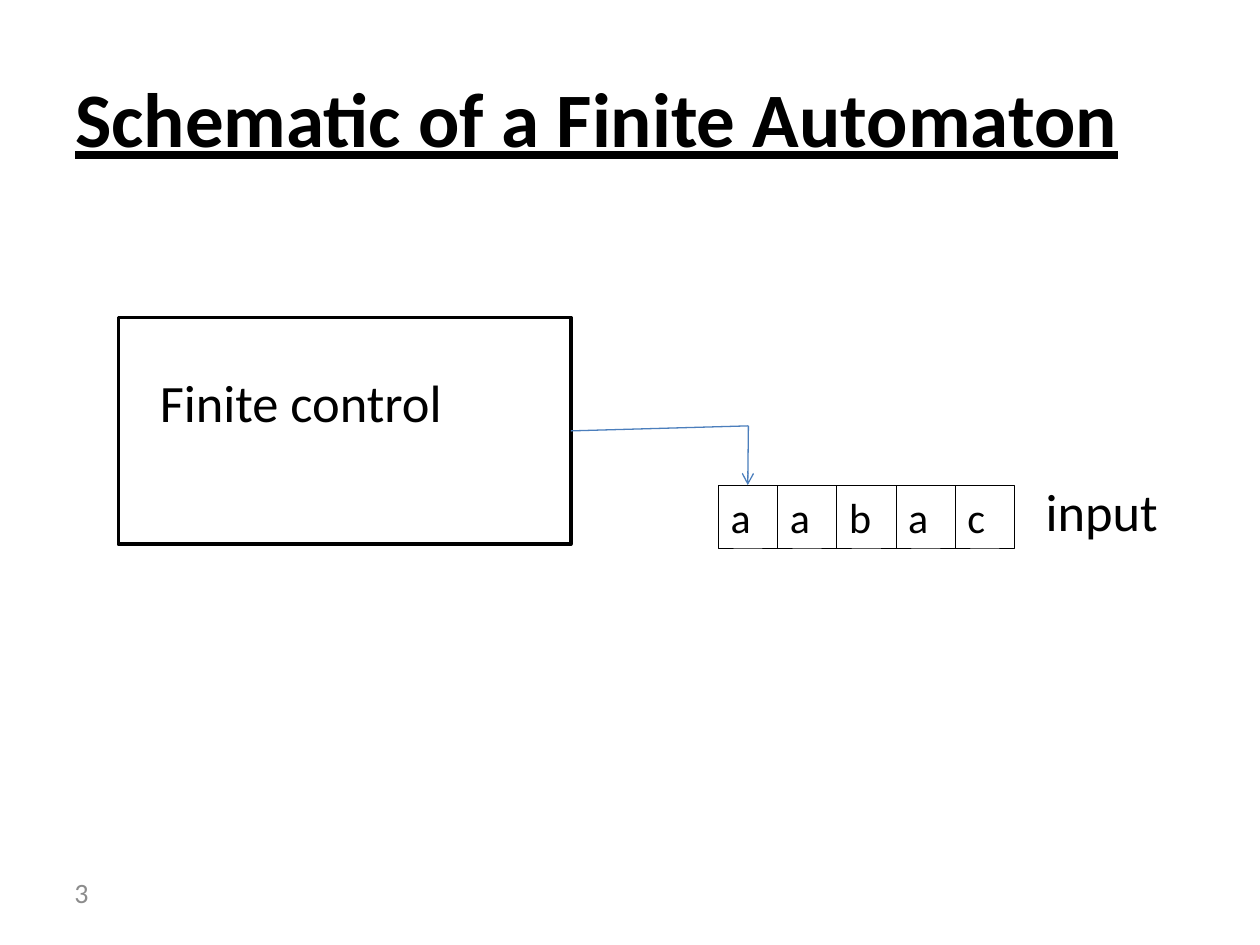
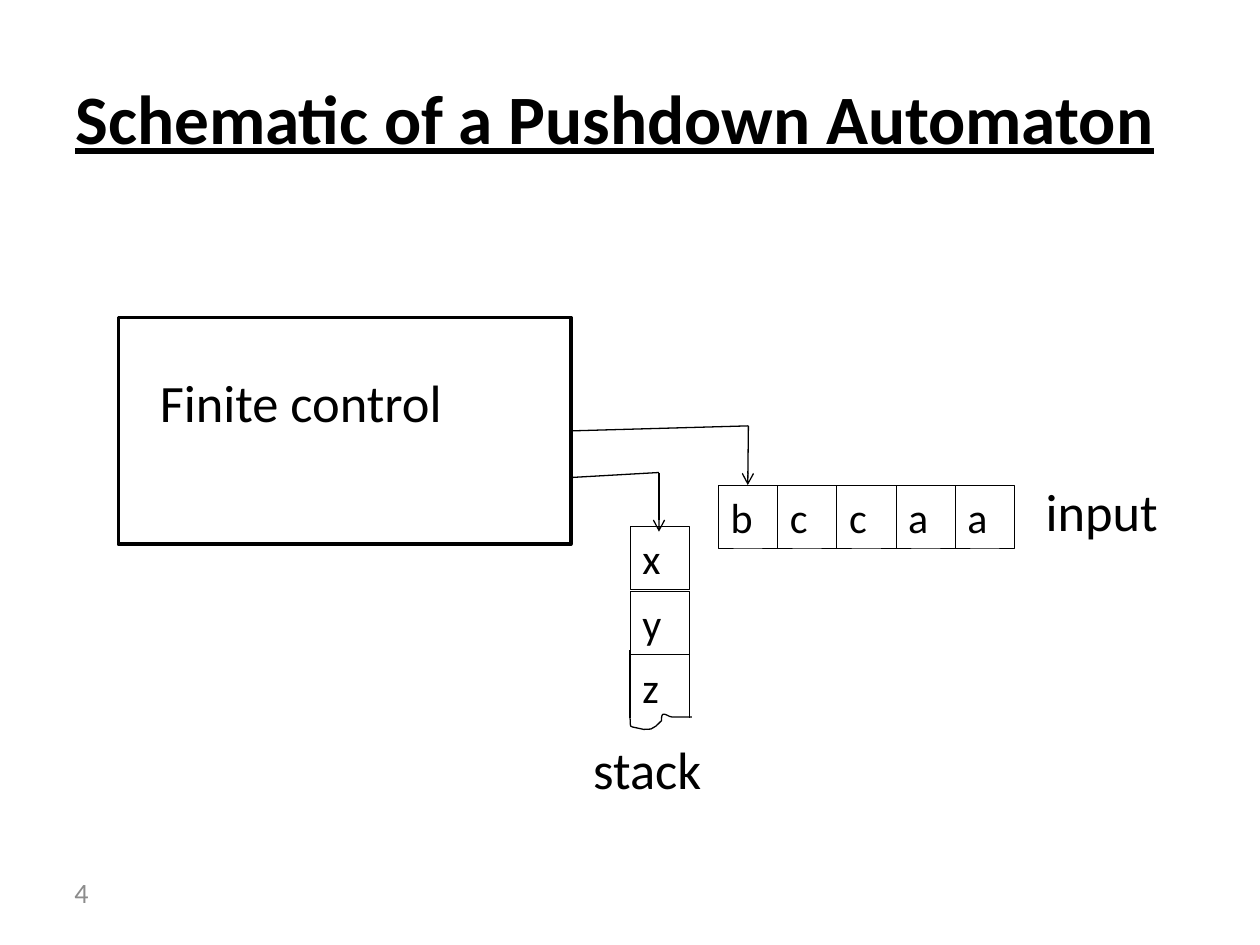
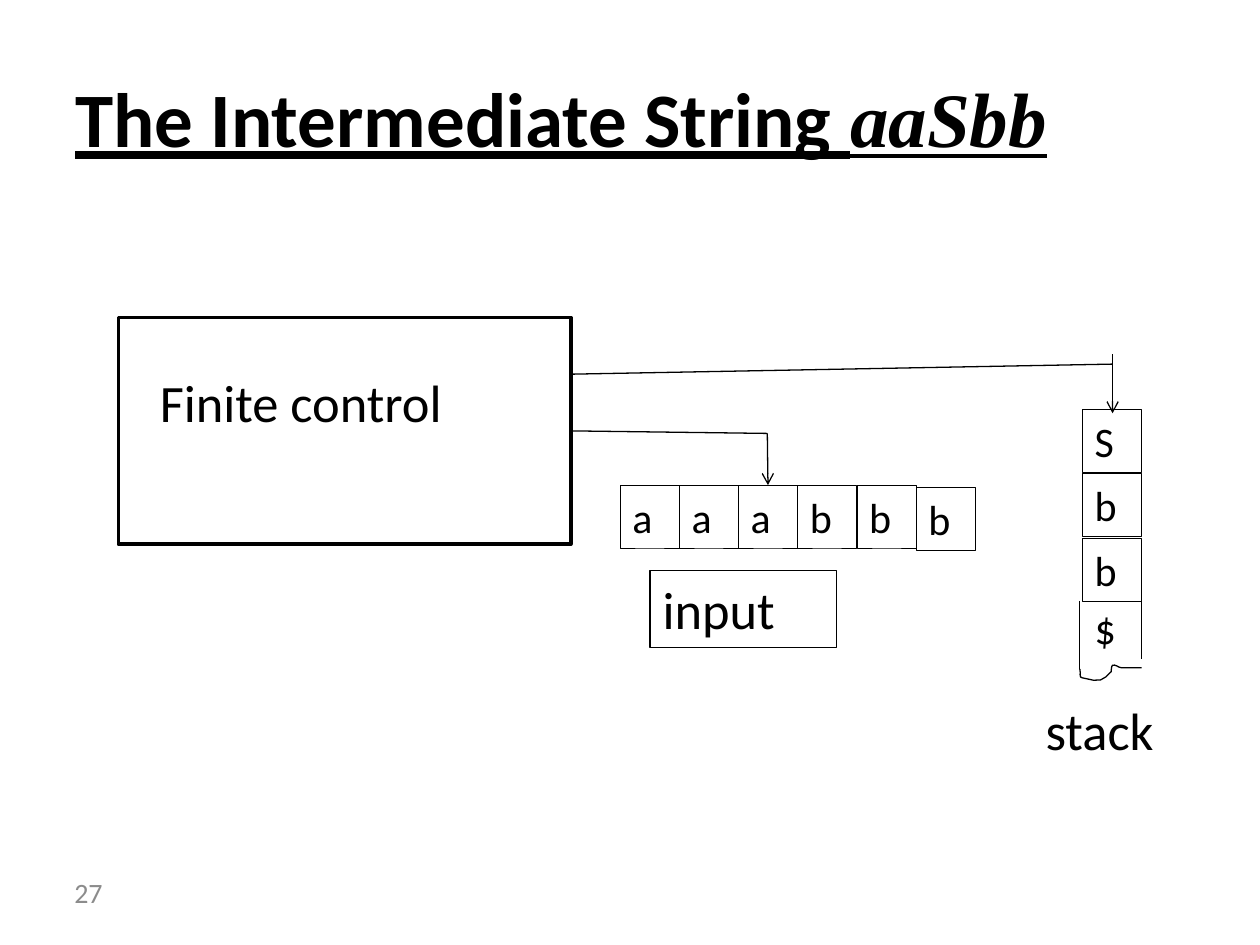
from dataclasses import dataclass

from lxml import etree
from pptx import Presentation
from pptx.dml.color import RGBColor
from pptx.enum import shapes, text
from pptx.oxml import ns
from pptx.util import Inches, Pt


@dataclass(frozen=True)
class Theme:
    ink: RGBColor = RGBColor(0, 0, 0)
    blue: RGBColor = RGBColor(0x4B, 0x7E, 0xBC)
    gray: RGBColor = RGBColor(0x8C, 0x8C, 0x8C)
    sans: str = "Calibri"
    serif: str = "Times New Roman"
    head: float = 44
    tight: float = 39.6
    label: float = 30
    mark: float = 24
    foot: float = 16
    frame: float = 2
    line: float = 0.75
    hair: float = 0.25


T = Theme()
CELL, TALL = 0.47, 0.5
SIDE = 0.54
TEAR = [  # control points of each curve, from the lower left corner
    [(0.01, 0.03), (-0.01, 0.07), (0.02, 0.07)],
    [(0.17, 0.11), (0.18, 0.09), (0.25, 0.02)],
    [(0.25, 0), (0.25, -0.02), (0.26, -0.03)],
    [(0.28, -0.04), (0.31, -0.01), (0.33, -0.01)],
    [(0.38, -0.01), (0.44, -0.01), (0.49, -0.01)],
]


def inch(*nums):
    return [Inches(n) for n in nums]


def write(shape, words, size, color=T.ink, mid=False):
    """Put one left-aligned paragraph in a shape and return it."""
    frame = shape.text_frame
    frame.word_wrap = True
    frame.vertical_anchor = text.MSO_ANCHOR.MIDDLE if mid else text.MSO_ANCHOR.TOP
    para = frame.paragraphs[0]
    para.alignment = text.PP_ALIGN.LEFT
    para.add_run().text = words
    para.font.name, para.font.size = T.sans, Pt(size)
    para.font.color.rgb = color
    return para


def note(page, words, at, size=T.label, **style):
    return write(page.shapes.add_textbox(*inch(*at)), words, size, **style)


def box(page, at, width):
    shape = page.shapes.add_shape(shapes.MSO_SHAPE.RECTANGLE, *inch(*at))
    shape.shadow.inherit = False
    shape.fill.background()
    shape.line.color.rgb, shape.line.width = T.ink, Pt(width)
    return shape


def wire(page, start, end, src=None, dst=None, arrow=False, color=T.ink):
    """Draw a line, joined to the right of src and the top of dst if given."""
    link = page.shapes.add_connector(
        shapes.MSO_CONNECTOR.STRAIGHT, *inch(*start, *end))
    if src is not None:
        link.begin_connect(src, 3)
    if dst is not None:
        link.end_connect(dst, 0)
    link.line.color.rgb, link.line.width = color, Pt(T.line)
    if arrow:
        etree.SubElement(link.line._get_or_add_ln(), ns.qn("a:tailEnd"), type="arrow")
    etree.SubElement(link._element.spPr, ns.qn("a:effectLst"))


def cells(page, marks, left, top, dx=0.0, dy=0.0):
    """Draw one box per mark, each moved by dx, dy from the last."""
    row = []
    for i, mark in enumerate(marks):
        cell = box(page, (left + i * dx, top + i * dy, CELL, TALL), T.hair)
        write(cell, mark, T.mark)
        row.append(cell)
    return row


def tear(page, x, y):
    """Draw the torn lower edge of a stack."""
    dots, last = [], (0, 0)
    for one, two, end in TEAR:
        for t in (0.25, 0.5, 0.75, 1):
            s = 1 - t
            dots.append(tuple(
                s**3 * a + 3 * s * s * t * b + 3 * s * t * t * c + t**3 * d
                for a, b, c, d in zip(last, one, two, end)))
        last = end
    pen = page.shapes.build_freeform(*inch(x, y))
    pen.add_line_segments([inch(x + a, y + b) for a, b in dots], close=False)
    edge = pen.convert_to_shape()
    edge.shadow.inherit = False
    edge.fill.background()
    edge.line.color.rgb, edge.line.width = T.ink, Pt(T.line)


def base(page, mark, spot, left, right):
    """Draw the open lowest cell; left and right are the tops of its sides."""
    note(page, mark, (*spot, CELL, TALL), T.mark)
    for x, y in (left, right):
        wire(page, (x, y), (x, y + SIDE))
    tear(page, left[0], left[1] + SIDE)


def start(deck, title, num, size=T.head):
    """Add a slide with title, number and control box; return slide, title, box."""
    page = deck.slides.add_slide(deck.slide_layouts[6])
    head = note(page, title, (0.5, 0.3, 9, 1.25), size, mid=True)
    head.font.bold = head.font.underline = True
    foot = page.shapes.add_textbox(*inch(0.39, 6.88, 2.33, 0.4))
    foot.text_frame.margin_left = Inches(0.2)
    write(foot, str(num), T.foot, T.gray, mid=True)
    note(page, "Finite control", (1.17, 2.89, 3.13, 0.61))
    return page, head, box(page, (0.94, 2.52, 3.59, 1.8), T.frame)


def tape(page, unit, marks, color=T.ink):
    """Draw the input tape with the head on its first cell."""
    row = cells(page, marks, 5.7, 3.85, dx=CELL)
    bend = (5.94, 3.38)
    wire(page, (4.53, 3.42), bend, src=unit, color=color)
    wire(page, bend, (5.94, 3.85), dst=row[0], arrow=True, color=color)
    note(page, "input", (8.2, 3.75, 2.03, 0.61))


def finite(deck):
    page, _, unit = start(deck, "Schematic of a Finite Automaton", 3)
    tape(page, unit, "aabac", T.blue)


def push(deck):
    page, _, unit = start(deck, "Schematic of a Pushdown Automaton", 4, T.tight)
    tape(page, unit, "bccaa")
    cells(page, "xy", 5, 4.18, dy=0.51)
    base(page, "z", (5, 5.2), (5, 5.16), (5.47, 5.16))
    note(page, "stack", (4.61, 5.8, 2.03, 0.61))
    bend = (5.23, 3.75)
    wire(page, (4.53, 3.79), bend)
    wire(page, bend, (5.23, 4.22), arrow=True)


def middle(deck):
    page, head, unit = start(deck, "The Intermediate String ", 27)
    word = head.add_run()
    word.text = "aaSbb"
    word.font.name, word.font.italic = T.serif, True
    row = cells(page, "aaabb", 4.92, 3.85, dx=CELL)
    cells(page, "b", 7.27, 3.87)
    bend = (6.09, 3.44)
    wire(page, (4.53, 3.42), bend, src=unit)
    wire(page, bend, (6.09, 3.85), dst=row[2], arrow=True)
    write(box(page, (5.16, 4.53, 1.48, 0.61), T.line), "input", T.label)
    cells(page, "Sbb", 8.59, 3.25, dy=0.51)
    base(page, "$", (8.59, 4.73), (8.57, 4.77), (9.06, 4.69))
    note(page, "stack", (8.2, 5.49, 2.03, 0.61))
    wire(page, (4.53, 2.97), (8.83, 2.89))
    wire(page, (8.83, 2.81), (8.83, 3.28), arrow=True)


def main():
    deck = Presentation()
    deck.slide_width, deck.slide_height = inch(10, 7.5)
    for draw in (finite, push, middle):
        draw(deck)
    deck.save("out.pptx")


if __name__ == "__main__":
    main()
